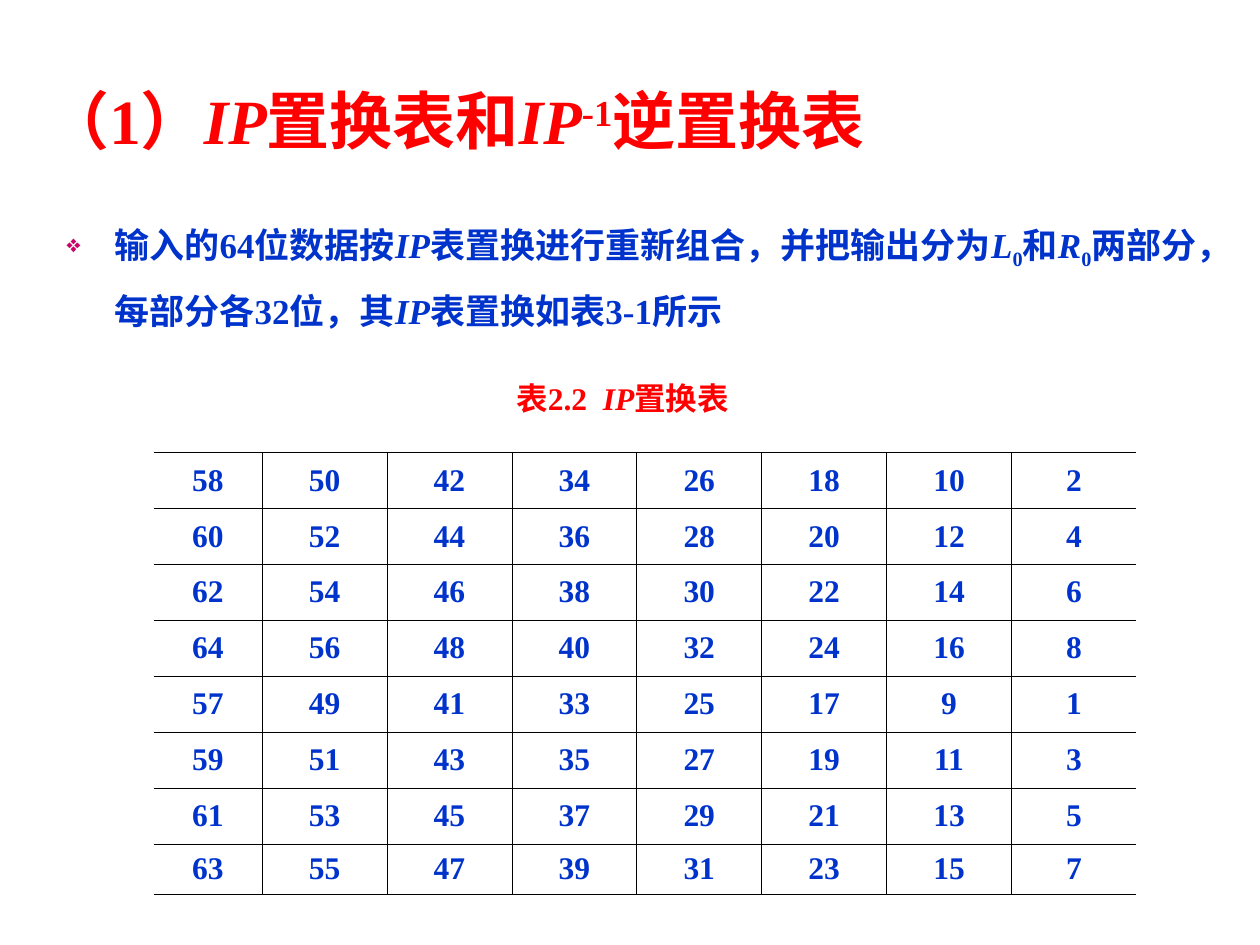
from lxml import etree
from pptx import Presentation
from pptx.dml.color import RGBColor
from pptx.enum.text import MSO_ANCHOR, PP_ALIGN
from pptx.oxml.ns import qn
from pptx.util import Inches, Pt

MIDDLE = MSO_ANCHOR.MIDDLE
CENTER = PP_ALIGN.CENTER

RED = RGBColor(0xFF, 0x00, 0x00)
BLUE = RGBColor(0x00, 0x33, 0xCC)
MAGENTA = RGBColor(0xCC, 0x00, 0x66)
BLACK = RGBColor(0x00, 0x00, 0x00)
FONT = "Times New Roman"

# Content: each run is (text, style), style being "", "italic", "super" or "sub"
TITLE = [("（1）", ""), ("IP", "italic"), ("置换表和", ""), ("IP", "italic"),
         ("-1", "super"), ("逆置换表", "")]
INTRO = [("输入的64位数据按", ""), ("IP", "italic"),
         ("表置换进行重新组合，并把输出分为", ""),
         ("L", "italic"), ("0", "sub"), ("和", ""), ("R", "italic"), ("0", "sub"),
         ("两部分，每部分各32位，其", ""), ("IP", "italic"), ("表置换如表3-1所示", "")]
CAPTION = [("表2.2  ", ""), ("IP", "italic"), ("置换表", "")]

# Each row of the permutation counts down by 8 from its first bit
FIRST_BITS = [58, 60, 62, 64, 57, 59, 61, 63]
IP_TABLE = [list(range(first, 0, -8)) for first in FIRST_BITS]

# Layout in inches: the first column and the last row are narrower
TABLE_LEFT, TABLE_TOP, TABLE_WIDTH, TABLE_HEIGHT = 1.22, 3.59, 7.8, 3.51
FIRST_COLUMN, LAST_ROW = 0.86, 0.4
COLUMN_WIDTHS = [FIRST_COLUMN] + [(TABLE_WIDTH - FIRST_COLUMN) / 7] * 7
ROW_HEIGHTS = [(TABLE_HEIGHT - LAST_ROW) / 7] * 7 + [LAST_ROW]
BASELINES = {"super": "30000", "sub": "-25000"}


def set_font(paragraph, size, color):
    font = paragraph.font
    font.name, font.size, font.bold = FONT, Pt(size), True
    font.color.rgb = color


def add_text(slide, box, runs):
    frame = slide.shapes.add_textbox(*map(Inches, box)).text_frame
    frame.word_wrap = True
    paragraph = frame.paragraphs[0]
    for text, style in runs:
        run = paragraph.add_run()
        run.text = text
        if style == "italic":
            run.font.italic = True
        elif style:
            run.font._element.set("baseline", BASELINES[style])
    return frame, paragraph


def add_bullet(paragraph, char, color, percent, indent):
    props = paragraph._p.get_or_add_pPr()
    props.set("marL", str(Inches(indent)))
    props.set("indent", str(-Inches(indent)))
    bullet_color = etree.SubElement(props, qn("a:buClr"))
    etree.SubElement(bullet_color, qn("a:srgbClr"), val=str(color))
    etree.SubElement(props, qn("a:buSzPct"), val=str(percent * 1000))
    etree.SubElement(props, qn("a:buChar"), char=char)


def set_border(cell, side, visible):
    line = etree.SubElement(cell._tc.get_or_add_tcPr(), qn(f"a:ln{side}"),
                            w=str(Pt(0.45)))
    if visible:
        fill = etree.SubElement(line, qn("a:solidFill"))
        etree.SubElement(fill, qn("a:srgbClr"), val=str(BLACK))
    else:
        etree.SubElement(line, qn("a:noFill"))


def add_permutation_table(slide):
    columns = len(COLUMN_WIDTHS)
    box = map(Inches, (TABLE_LEFT, TABLE_TOP, TABLE_WIDTH, TABLE_HEIGHT))
    table = slide.shapes.add_table(len(IP_TABLE), columns, *box).table
    table.first_row = table.horz_banding = False
    for column, width in zip(table.columns, COLUMN_WIDTHS):
        column.width = Inches(width)
    for row, height, bits in zip(table.rows, ROW_HEIGHTS, IP_TABLE):
        row.height = Inches(height)
        for index, (cell, bit) in enumerate(zip(row.cells, bits)):
            # The grid is open on its left and right sides
            set_border(cell, "L", index > 0)
            set_border(cell, "R", index < columns - 1)
            set_border(cell, "T", True)
            set_border(cell, "B", True)
            cell.fill.background()
            cell.vertical_anchor = MIDDLE
            cell.text = str(bit)
            paragraph = cell.text_frame.paragraphs[0]
            paragraph.alignment = CENTER
            set_font(paragraph, 18, BLUE)


def main():
    presentation = Presentation()
    presentation.slide_width, presentation.slide_height = Inches(10), Inches(7.5)
    slide = presentation.slides.add_slide(presentation.slide_layouts[6])

    # Title
    frame, paragraph = add_text(slide, (0.27, 0.44, 9.34, 1.02), TITLE)
    frame.vertical_anchor = MIDDLE
    set_font(paragraph, 36, RED)

    # Introduction
    _, paragraph = add_text(slide, (0.43, 1.55, 9.29, 1.18), INTRO)
    paragraph.line_spacing = 1.45
    add_bullet(paragraph, "❖", MAGENTA, 70, 0.38)
    set_font(paragraph, 20, BLUE)

    # Table caption
    _, paragraph = add_text(slide, (4, 2.96, 2.1, 0.4), CAPTION)
    set_font(paragraph, 18, RED)

    # Permutation table
    add_permutation_table(slide)

    presentation.save("out.pptx")


if __name__ == "__main__":
    main()
